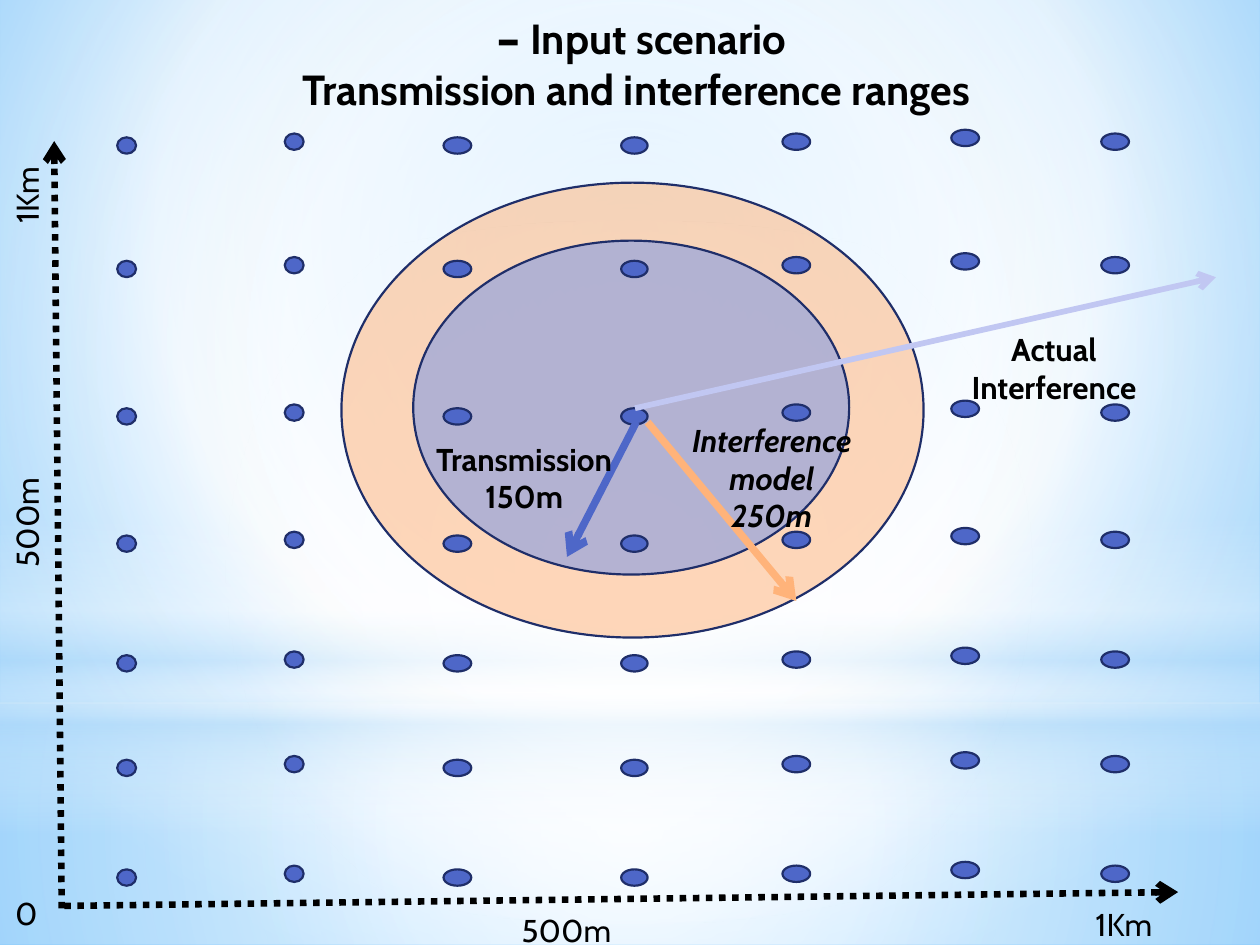
from lxml import etree
from pptx import Presentation
from pptx import util as u
from pptx.dml.color import RGBColor
from pptx.enum import dml, shapes, text
from pptx.oxml import parse_xml
from pptx.oxml.ns import nsdecls, qn

COLORS = {
    "black": "000000", "white": "FFFFFF", "sky": "B4DCFA",
    "bg_inner": "9ED5FF", "bg_outer": "5BB9FF",
    "node": "4E67C8", "outline": "1F2E69", "transmission": "95A4DE",
    "interference": "FFB37A", "actual": "C1C7F2",
}
FONT = "Cabin"
OVAL, RECT = shapes.MSO_SHAPE.OVAL, shapes.MSO_SHAPE.RECTANGLE

# Content; lengths in inches, boxes as left, top, width, height
TITLE = ["Input scenario – ", "Transmission and interference ranges"]
TITLE_BOX = (2.01, 0.05, 6.08, 0.91)

# Gradient stops: position, colour, opacity; focus: left, top, right, bottom
CENTRE = (50, 50, 50, 50)
BACKGROUND = [(0, "bg_inner", 100), (60, "white", 100), (100, "bg_outer", 100)]
PANELS = [
    (RECT, (0, 5.58, 10, 1.92),
     [(0, "white", 91), (37, "white", 76), (100, "sky", 79)], CENTRE),
    (RECT, (0, 0, 10, 5.58),
     [(0, "white", 89), (48, "white", 62), (100, "sky", 79)], CENTRE),
    (RECT, (0, 4.12, 10, 2.5),
     [(0, "white", 0), (29, "white", 30), (45, "sky", 40),
      (55, "white", 26), (65, "sky", 60), (100, "white", 0)], None),
    (OVAL, (0, 1.75, 10, 5.58), [(0, "white", 100), (56, "white", 0)], CENTRE),
]
RANGES = [  # box, colour, opacity
    ((2.71, 1.45, 4.62, 3.61), "interference", 52),
    ((3.28, 1.91, 3.46, 2.65), "transmission", 70),
]
NODE_ROWS = [1.09, 2.07, 3.24, 4.25, 5.2, 6.03, 6.9]
NODE_COLUMNS = [  # left, width, vertical shift
    (0.93, 0.15, 0), (2.26, 0.15, -0.03), (3.52, 0.22, 0), (4.93, 0.21, 0),
    (6.21, 0.22, -0.03), (7.55, 0.22, -0.06), (8.74, 0.22, -0.03),
]
NODE_HEIGHT = 0.13
ARROWS = [  # from, to, colour, width, dotted
    ((0.49, 7.21), (0.43, 1.12), "black", 3.75, True),
    ((0.51, 7.19), (9.35, 7.08), "black", 3.75, True),
    ((5.05, 3.35), (4.5, 4.42), "node", 4.25, False),
    ((5.14, 3.35), (6.32, 4.77), "interference", 4.25, False),
    ((5.04, 3.24), (9.65, 2.2), "actual", 3.25, False),
]
AXIS_LABELS = [  # text, box, vertical
    ("0", (0.04, 7.05, 0.34, 0.4), False),
    ("500m", (0.01, 3.77, 0.5, 0.75), True),
    ("1Km", (0.01, 1.22, 0.5, 0.66), True),
    ("500m", (4.07, 7.18, 0.85, 0.4), False),
    ("1Km", (8.54, 7.13, 0.76, 0.4), False),
]
RANGE_LABELS = [  # lines, box, italic
    (["Transmission", "150m"], (3.27, 3.44, 1.78, 0.71), False),
    (["Interference", "model", "250m"], (5.28, 3.29, 1.69, 1.01), True),
    (["Actual", "Interference"], (7.52, 2.57, 1.69, 0.71), False),
]


def lengths(values):
    return [u.Cm(v * 2.54) for v in values]


def rgb(name):
    return RGBColor.from_string(COLORS[name])


def set_gradient(fill, owner, stops, focus):
    """Swap the owner's solid fill for a gradient."""
    fill.solid()
    solid = owner.find(".//" + qn("a:solidFill"))
    gs = "".join(
        f'<a:gs pos="{pos * 1000}"><a:srgbClr val="{COLORS[name]}">'
        f'<a:alpha val="{opacity * 1000}"/></a:srgbClr></a:gs>'
        for pos, name, opacity in stops)
    if focus:
        sides = " ".join(f'{k}="{v * 1000}"' for k, v in zip("ltrb", focus))
        shade = f'<a:path path="circle"><a:fillToRect {sides}/></a:path>'
    else:
        shade = '<a:lin ang="5400000" scaled="0"/>'
    solid.getparent().replace(solid, parse_xml(
        f'<a:gradFill {nsdecls("a")} rotWithShape="1">'
        f'<a:gsLst>{gs}</a:gsLst>{shade}</a:gradFill>'))


def add_plain(kind, box):
    shape = s.shapes.add_shape(kind, *lengths(box))
    shape.shadow.inherit = False
    return shape


def add_oval(box, color, opacity=100):
    oval = add_plain(OVAL, box)
    oval.fill.solid()
    oval.fill.fore_color.rgb = rgb(color)
    if opacity < 100:
        clr = oval._element.spPr.find(qn("a:solidFill"))[0]
        etree.SubElement(clr, qn("a:alpha"), val=str(opacity * 1000))
    oval.line.color.rgb = rgb("outline")
    oval.line.width = u.Pt(1.25)


def add_arrow(start, end, color, width, dotted):
    arrow = s.shapes.add_connector(shapes.MSO_CONNECTOR.STRAIGHT,
                                   *lengths(start + end))
    arrow.line.color.rgb = rgb(color)
    arrow.line.width = u.Pt(width)
    if dotted:
        arrow.line.dash_style = dml.MSO_LINE.ROUND_DOT
    etree.SubElement(arrow.line._get_or_add_ln(), qn("a:tailEnd"), type="arrow")
    etree.SubElement(arrow._element.spPr, qn("a:effectLst"))


def write(sp, lines, size=18, bold=False, italic=False, rtl=False):
    tf = sp.text_frame
    tf.text = "\n".join(lines)
    tf.word_wrap = False
    tf.auto_size = text.MSO_AUTO_SIZE.NONE
    tf.vertical_anchor = text.MSO_ANCHOR.TOP
    for p in tf.paragraphs:
        p.alignment = text.PP_ALIGN.CENTER
        p.font.name, p.font.size = FONT, u.Pt(size)
        p.font.bold, p.font.italic = bold, italic
        p.font.color.rgb = rgb("black")
        if rtl:
            p._p.get_or_add_pPr().set("rtl", "1")


prs = Presentation()
prs.slide_width, prs.slide_height = lengths((10, 7.5))
s = prs.slides.add_slide(prs.slide_layouts[5])

# Backdrop
set_gradient(s.background.fill, s._element.cSld, BACKGROUND, (20, 10, 20, 60))
for kind, box, stops, focus in PANELS:
    panel = add_plain(kind, box)
    panel.line.fill.background()
    set_gradient(panel.fill, panel._element.spPr, stops, focus)

# Ranges and node grid
for box, color, opacity in RANGES:
    add_oval(box, color, opacity)
for left, width, shift in NODE_COLUMNS:
    for top in NODE_ROWS:
        add_oval((left, top + shift, width, NODE_HEIGHT), "node")

# Title, raised above the backdrop
title = s.shapes.title
title.left, title.top, title.width, title.height = lengths(TITLE_BOX)
write(title, TITLE, size=24, bold=True, rtl=True)
s.shapes._spTree.append(title._element)

# Axes, range arrows and labels
for arrow in ARROWS:
    add_arrow(*arrow)
for label, box, vertical in AXIS_LABELS:
    sp = s.shapes.add_textbox(*lengths(box))
    write(sp, [label])
    if vertical:
        sp.text_frame._txBody.bodyPr.set("vert", "vert270")
for lines, box, italic in RANGE_LABELS:
    write(s.shapes.add_textbox(*lengths(box)), lines, bold=True, italic=italic)

prs.save("out.pptx")
